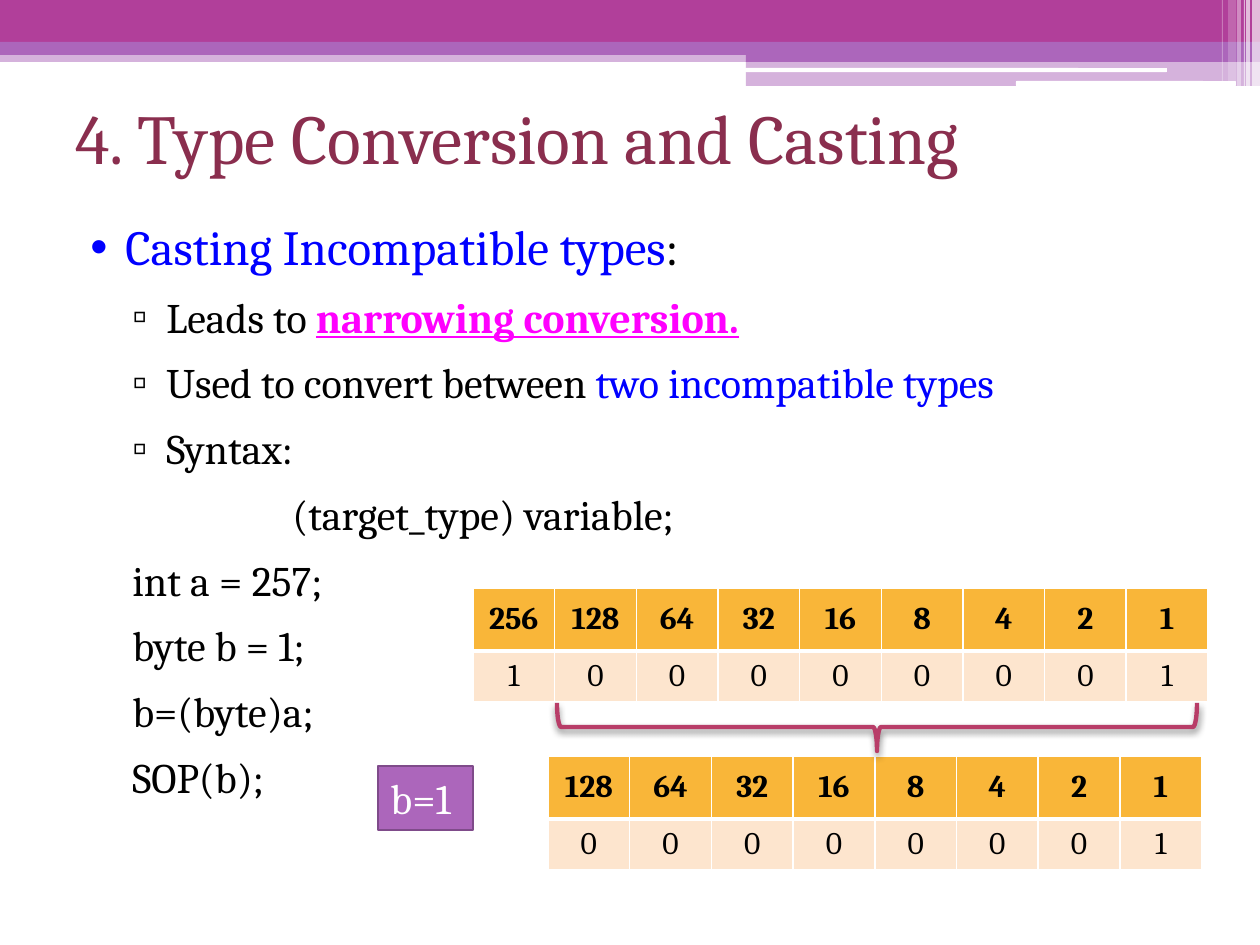
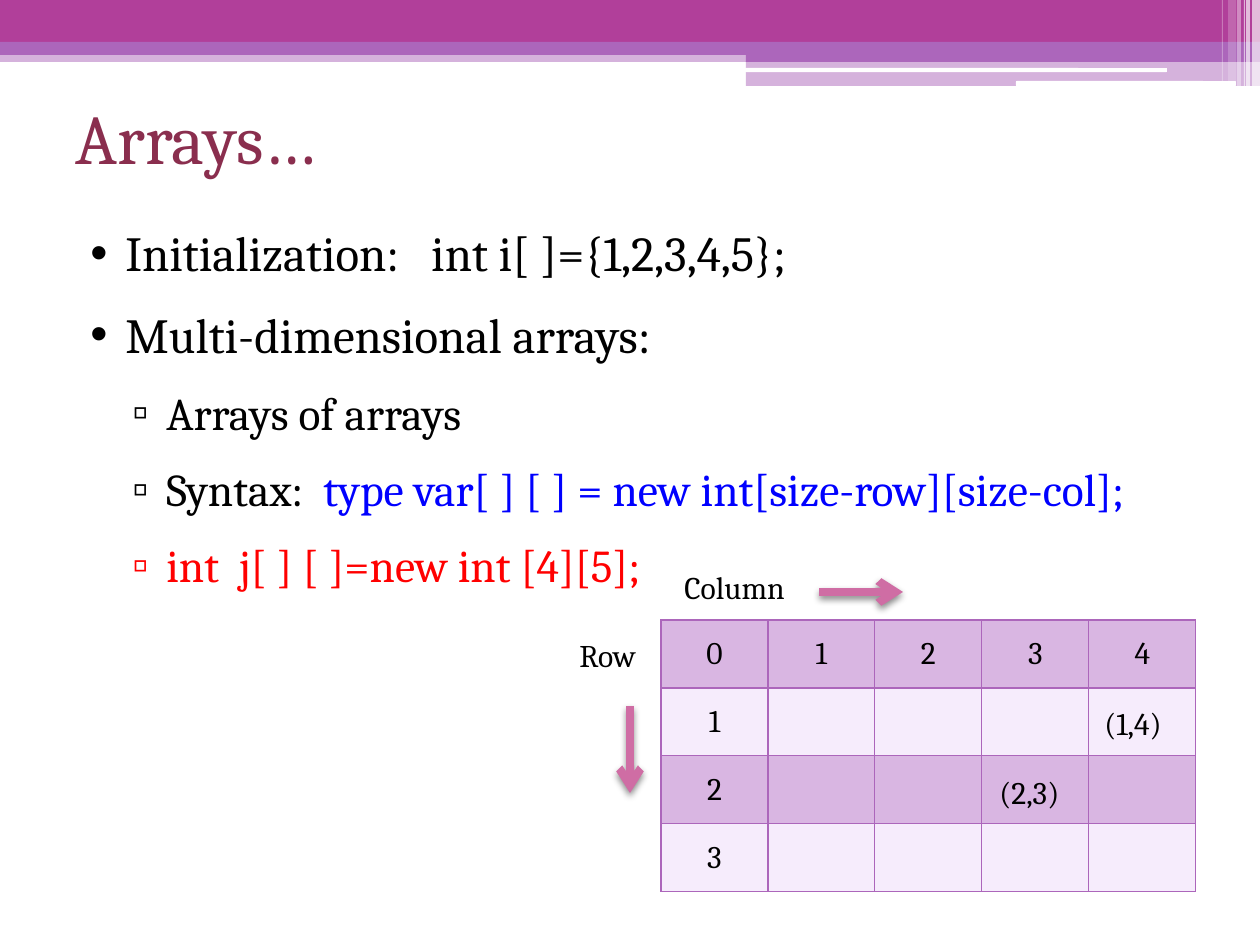
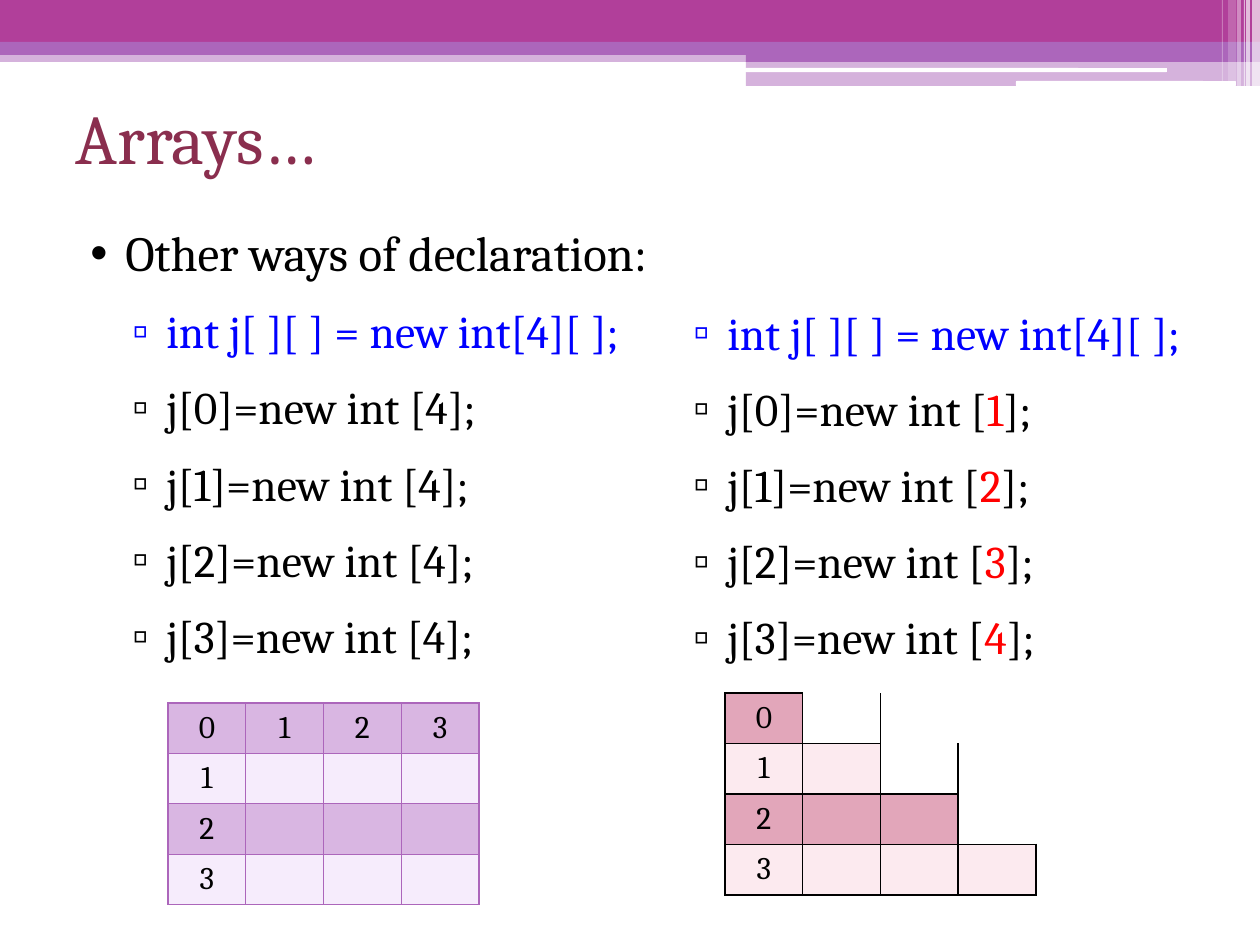
from lxml.etree import SubElement
from pptx import Presentation
from pptx.dml.color import RGBColor
from pptx.enum.shapes import MSO_CONNECTOR, MSO_SHAPE
from pptx.enum.text import MSO_ANCHOR, PP_ALIGN
from pptx.oxml.ns import qn
from pptx.util import Emu, Pt

FONT = "Cambria"
PURPLE, MAGENTA_BAND, WHITE, BLACK = "AC66BB", "B13F9A", "FFFFFF", "000000"
TITLE, ROSE, ARROW, BOX_LINE = "8A2E4E", "B83D68", "CF6DA4", "7F4B8A"
BLUE, RED, PINK = "0000FF", "FF0000", "FF00FF"
NO_STYLE = "{2D5ABB26-0587-4C30-8999-92F81FD0307C}"

# left, top, width, height, colour, opacity in percent
BANDS = [
    (0, 50, 1260, 12, PURPLE, 50),
    (0, 0, 1260, 43, MAGENTA_BAND, 100),
    (0, 42, 1260, 13, PURPLE, 100),
    (746, 49, 514, 13, PURPLE, 100),
    (746, 61, 514, 25, PURPLE, 50),
]
STRIPES = [(745, 68, 422, 4), (1016, 81, 220, 5)]
# left, width, height, opacity in percent
GLINTS = [(1252, 8, 86, 65), (1246, 4, 86, 65), (1244, 1, 86, 60),
          (1237, 4, 86, 40), (1228, 8, 81, 20), (1222, 1, 81, 30)]

# left margin, hanging indent, bullet
LEVELS = {"main": (50, 35, "•"), "sub": (91, 34, "▫"),
          "code": (57, 0, None), "syntax": (217, 0, None)}
TITLE_AT = (63, 84, 1134, 105)
BODY_AT = (63, 199, 1134, 640)

# Each paragraph: level, then runs of (text, colour)
CASTING = [
    ("main", ("Casting Incompatible types", BLUE), (":", BLACK)),
    ("sub", ("Leads to ", BLACK), ("narrowing conversion.", PINK)),
    ("sub", ("Used to convert between ", BLACK), ("two incompatible types", BLUE)),
    ("sub", ("Syntax:", BLACK)),
    ("syntax", ("(target_type) variable;", BLACK)),
    ("code", ("int a = 257;", BLACK)),
    ("code", ("byte b = 1;", BLACK)),
    ("code", ("b=(byte)a;", BLACK)),
    ("code", ("SOP(b);", BLACK)),
]
ARRAYS = [
    ("main", ("Initialization:   int i[ ]={1,2,3,4,5};", BLACK)),
    ("main", ("Multi-dimensional arrays:", BLACK)),
    ("sub", ("Arrays of arrays", BLACK)),
    ("sub", ("Syntax:  ", BLACK),
     ("type var[ ] [ ] = new int[size-row][size-col];", BLUE)),
    ("sub", ("int  j[ ] [ ]=new int [4][5];", RED)),
]
DECLARE = ("sub", ("int j[ ][ ] = new int[4][ ];", BLUE))
EQUAL_ROWS = [("main", ("Other ways of declaration:", BLACK)), DECLARE] + [
    ("sub", (f"j[{i}]=new int [4];", BLACK)) for i in range(4)]
GROWING_ROWS = [DECLARE] + [
    ("sub", (f"j[{i}]=new int [", BLACK), (str(i + 1), RED), ("];", BLACK))
    for i in range(4)]

INT_BITS = [["256", "128", "64", "32", "16", "8", "4", "2", "1"], list("100000001")]
BYTE_BITS = [INT_BITS[0][1:], INT_BITS[1][1:]]
LABELS = [("Row", 567, 630, 88), ("Column", 672, 562, 137),
          ("(2,3)", 987, 767, 93), ("(1,4)", 1092, 698, 89)]
ARROWS = [(630, 706, 630, 793), (819, 592, 903, 592)]

# fills of even and odd rows, border colour and width, heavier rule under a bold header
BITS = dict(fills=("F9B639", "FDE5CE"), line=WHITE, width=1, header=True)
GRID = dict(fills=("D9B6E2", "F6ECFC"), line=PURPLE, width=0.75, header=False)
STEPS = dict(fills=("E2A6BA", "FCEAEF"), line=BLACK, width=1, header=False)


def px(n):
    return Emu(round(n * 914400 / 126))


def rgb(value):
    return RGBColor.from_string(value)


def style_run(r, size, color, bold=False):
    r.font.name, r.font.size, r.font.bold = FONT, Pt(size), bold
    r.font.color.rgb = rgb(color)


def add_block(slide, kind, box, fill=None, line=None, width=1, opacity=100):
    sp = slide.shapes.add_shape(kind, *map(px, box))
    sp.shadow.inherit = False
    if fill:
        sp.fill.solid()
        sp.fill.fore_color.rgb = rgb(fill)
        if opacity < 100:
            color = sp.element.spPr.find(qn("a:solidFill"))[0]
            SubElement(color, qn("a:alpha"), val=str(opacity * 1000))
    else:
        sp.fill.background()
    if line:
        sp.line.color.rgb, sp.line.width = rgb(line), Pt(width)
    else:
        sp.line.fill.background()
    return sp


def add_soft_shadow(sp):
    spPr = sp.element.spPr
    effects = spPr.find(qn("a:effectLst"))
    if effects is None:
        effects = SubElement(spPr, qn("a:effectLst"))
    shadow = SubElement(effects, qn("a:outerShdw"), blurRad=str(Pt(4)),
                        dist=str(Pt(2)), dir="5400000", rotWithShape="0")
    color = SubElement(shadow, qn("a:srgbClr"), val=BLACK)
    SubElement(color, qn("a:alpha"), val="45000")


def add_bands(layout, slide):
    """Draw the header bands and move them to the layout, behind its placeholders."""
    bands = [add_block(slide, MSO_SHAPE.RECTANGLE, box, color, opacity=opacity)
             for *box, color, opacity in BANDS]
    bands += [add_block(slide, MSO_SHAPE.ROUNDED_RECTANGLE, box, WHITE)
              for box in STRIPES]
    bands += [add_block(slide, MSO_SHAPE.RECTANGLE, (x, 0, w, h), WHITE, opacity=opacity)
              for x, w, h, opacity in GLINTS]
    for i, sp in enumerate(bands):
        sp.element.nvSpPr.cNvPr.set("id", str(100 + i))
        layout.shapes.element.insert(2 + i, sp.element)


def add_slide(prs, layout, title):
    slide = prs.slides.add_slide(layout)
    sp = slide.shapes.title
    sp.left, sp.top, sp.width, sp.height = map(px, TITLE_AT)
    tf = sp.text_frame
    tf.text, tf.vertical_anchor = title, MSO_ANCHOR.MIDDLE
    p = tf.paragraphs[0]
    p.alignment = PP_ALIGN.LEFT
    style_run(p.runs[0], 40, TITLE)
    return slide


def add_outline(slide, box, paragraphs, sub_size, spacing):
    """Add the bulleted text, one paragraph per entry."""
    tf = slide.shapes.add_textbox(*map(px, box)).text_frame
    tf.word_wrap = True
    for i, (level, *runs) in enumerate(paragraphs):
        p = tf.add_paragraph() if i else tf.paragraphs[0]
        p.line_spacing, p.space_before = spacing, Pt(3)
        margin, hanging, bullet = LEVELS[level]
        pPr = p._p.get_or_add_pPr()
        pPr.set("marL", str(px(margin)))
        pPr.set("indent", str(-px(hanging)))
        if bullet:
            SubElement(pPr, qn("a:buFont"), typeface="Arial")
            SubElement(pPr, qn("a:buChar"), char=bullet)
        for text, color in runs:
            r = p.add_run()
            r.text = text
            style_run(r, 28 if level == "main" else sub_size, color, color == PINK)
            r.font.underline = color == PINK


def add_label(slide, text, left, top, width):
    tf = slide.shapes.add_textbox(*map(px, (left, top, width, 50))).text_frame
    tf.word_wrap = False
    tf.text = text
    style_run(tf.paragraphs[0].runs[0], 18, BLACK)


def add_arrow(slide, ends):
    line = slide.shapes.add_connector(MSO_CONNECTOR.STRAIGHT, *map(px, ends))
    line.line.color.rgb, line.line.width = rgb(ARROW), Pt(4.5)
    SubElement(line.element.spPr.find(qn("a:ln")), qn("a:tailEnd"), type="arrow")
    add_soft_shadow(line)


def set_border(cell, sides, color, widths):
    tcPr = cell._tc.get_or_add_tcPr()
    for i, side in enumerate(sides):
        ln = SubElement(tcPr, qn(f"a:ln{side}"), w=str(Pt(widths.get(side, widths["all"]))))
        SubElement(SubElement(ln, qn("a:solidFill")), qn("a:srgbClr"), val=color)
        tcPr.insert(i, ln)


def add_grid(slide, box, rows, heights, look):
    """Add a table; a cell of None lies outside the grid but carries its shared edges."""
    n_cols = len(rows[0])
    frame = slide.shapes.add_table(len(rows), n_cols, *map(px, box))
    frame.element.find(".//" + qn("a:tableStyleId")).text = NO_STYLE
    table = frame.table
    table.first_row = table.horz_banding = False
    for col in table.columns:
        col.width = px(box[2] / n_cols)
    for r, (values, height) in enumerate(zip(rows, heights)):
        table.rows[r].height = px(height)
        widths = {"all": look["width"]}
        if look["header"]:
            widths["T" if r else "B"] = 3
        for c, value in enumerate(values):
            cell = table.cell(r, c)
            cell.vertical_anchor = MSO_ANCHOR.MIDDLE
            cell.fill.solid()
            cell.fill.fore_color.rgb = rgb(WHITE if value is None else look["fills"][r % 2])
            sides = "LRTB"
            if value is None:
                sides = "LB" if values[c - 1] is not None else ""
            set_border(cell, sides, look["line"], widths)
            if value:
                cell.text = value
                p = cell.text_frame.paragraphs[0]
                p.alignment = PP_ALIGN.CENTER
                style_run(p.runs[0], 18, BLACK, look["header"] and r == 0)


def index_grid(n_cols):
    """Four rows with numbers along the top and down the left."""
    return [[str(c) for c in range(n_cols)]] + [
        [str(r)] + [""] * (n_cols - 1) for r in range(1, 4)]


def casting_slide(slide):
    add_outline(slide, BODY_AT, CASTING, 24, 1.2)
    add_grid(slide, (473, 588, 735, 112), INT_BITS, (63, 49), BITS)
    add_grid(slide, (548, 756, 654, 112), BYTE_BITS, (63, 49), BITS)
    sp = add_block(slide, MSO_SHAPE.RECTANGLE, (378, 766, 95, 64), PURPLE, BOX_LINE, 1.5)
    tf = sp.text_frame
    tf.word_wrap = False
    tf.text = "b=1"
    tf.paragraphs[0].alignment = PP_ALIGN.LEFT
    style_run(tf.paragraphs[0].runs[0], 24, WHITE)
    brace = add_block(slide, MSO_SHAPE.RIGHT_BRACE, (853, 407, 48, 640),
                      line=ROSE, width=2.5)
    brace.rotation = 90
    add_soft_shadow(brace)


def arrays_slide(slide):
    add_outline(slide, BODY_AT, ARRAYS, 26, 1.3)
    add_grid(slide, (661, 620, 535, 272), index_grid(5), [68] * 4, GRID)
    for ends in ARROWS:
        add_arrow(slide, ends)
    for label in LABELS:
        add_label(slide, *label)


def declaration_slide(slide):
    add_outline(slide, BODY_AT, EQUAL_ROWS, 26, 1.3)
    add_outline(slide, (624, 282, 608, 392), GROWING_ROWS, 26, 1.3)
    add_grid(slide, (168, 703, 311, 200), index_grid(4), [50] * 4, GRID)
    steps = [[str(r)] + [""] * r + [None] * (3 - r) for r in range(4)]
    add_grid(slide, (725, 693, 311, 200), steps, [50] * 4, STEPS)


def main():
    prs = Presentation()
    prs.slide_width, prs.slide_height = px(1260), px(945)
    layout = prs.slide_layouts[5]
    slides = [add_slide(prs, layout, title) for title in
              ("4. Type Conversion and Casting", "Arrays…", "Arrays…")]
    add_bands(layout, slides[0])
    for fill, slide in zip((casting_slide, arrays_slide, declaration_slide), slides):
        fill(slide)
    prs.save("out.pptx")


if __name__ == "__main__":
    main()
